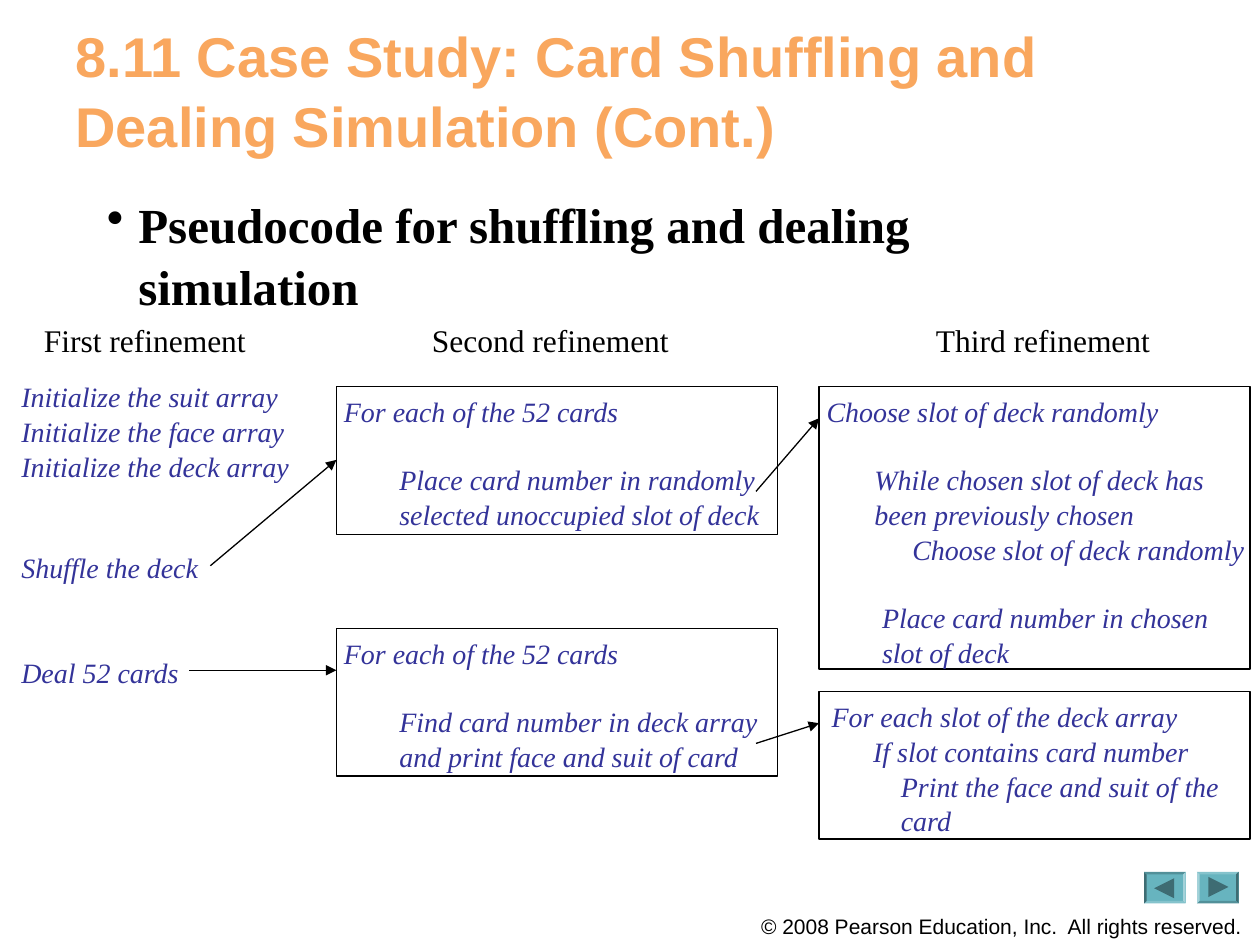
from typing import NamedTuple

from lxml.etree import SubElement
from pptx import Presentation
from pptx.dml.color import RGBColor
from pptx.enum.shapes import MSO_CONNECTOR, MSO_SHAPE
from pptx.enum.text import MSO_ANCHOR, PP_ALIGN
from pptx.oxml.ns import qn
from pptx.util import Inches, Pt

COLORS = {
    "title": "F9A75E", "text": "000000", "code": "333399", "face": "67B4BF",
    "top": "85C3CC", "right": "3E6C73", "bottom": "529099", "left": "A4D2D9",
}
SERIF, SANS = "Times New Roman", "Arial"
CODE_FORMAT = {"size": 16, "color": "code", "italic": True}


class Line(NamedTuple):
    text: str
    indent: float = 0
    before: float = 0


class CodeBox(NamedTuple):
    left: float
    top: float
    width: float
    height: float
    lines: list[Line]


class Arrow(NamedTuple):
    start: tuple[float, float]
    end: tuple[float, float]


CODE_BOXES = [
    CodeBox(2.67, 3.07, 3.5, 1.17, [
        Line("For each of the 52 cards", 0.06),
        Line("Place card number in randomly selected unoccupied slot of deck", 0.5, 19),
    ]),
    CodeBox(2.67, 4.99, 3.5, 1.17, [
        Line("For each of the 52 cards", 0.06),
        Line("Find card number in deck array and print face and suit of card", 0.5, 19),
    ]),
    CodeBox(6.5, 3.07, 3.42, 2.24, [
        Line("Choose slot of deck randomly", 0.06),
        Line("While chosen slot of deck has\vbeen previously chosen", 0.44, 19),
        Line("Choose slot of deck randomly", 0.74),
        Line("Place card number in chosen\vslot of deck", 0.5, 19),
    ]),
    CodeBox(6.5, 5.49, 3.42, 1.17, [
        Line("For each slot of the deck array", 0.1),
        Line("If slot contains card number", 0.43),
        Line("Print the face and suit of the card", 0.65),
    ]),
]
FIRST_STEPS = [
    Line("Initialize the suit array"),
    Line("Initialize the face array"),
    Line("Initialize the deck array"),
    Line("Shuffle the deck", before=38),
    Line("Deal 52 cards", before=40),
]
HEADINGS = {0.25: "First refinement", 3.33: "Second refinement", 7.33: "Third refinement"}
ARROWS = [
    Arrow((1.67, 4.49), (2.67, 3.65)),
    Arrow((1.5, 5.32), (2.67, 5.32)),
    Arrow((6, 3.9), (6.5, 3.32)),
    Arrow((6, 5.9), (6.5, 5.74)),
]


def color(name: str) -> RGBColor:
    """Return the named colour."""
    return RGBColor.from_string(COLORS[name])


def write_text(shape, lines: list[Line], *, size: float, color_name: str = "", color: str = "text",
               font: str = SERIF, bold: bool = False, italic: bool = False, bullet: str = "",
               align=PP_ALIGN.LEFT, anchor=MSO_ANCHOR.TOP, wrap: bool = True,
               insets: tuple[float, float] = (0.1, 0.05), spacing: float = 1.04) -> None:
    """Fill a shape with formatted lines."""
    frame = shape.text_frame
    frame.word_wrap = wrap
    frame.vertical_anchor = anchor
    frame.margin_left = frame.margin_right = Inches(insets[0])
    frame.margin_top = frame.margin_bottom = Inches(insets[1])
    for index, line in enumerate(lines):
        paragraph = frame.add_paragraph() if index else frame.paragraphs[0]
        paragraph.text = line.text
        paragraph.alignment = align
        paragraph.line_spacing = spacing
        paragraph.space_before = Pt(line.before)
        properties = paragraph._p.get_or_add_pPr()
        properties.set("marL", str(Inches(line.indent)))
        if bullet:
            properties.set("indent", str(-Inches(line.indent)))
            SubElement(properties, qn("a:buChar")).set("char", bullet)
        for run in paragraph.runs:
            run.font.name, run.font.size = font, Pt(size)
            run.font.bold, run.font.italic = bold, italic
            run.font.color.rgb = RGBColor.from_string(COLORS[color])


def add_text(slide, left: float, top: float, width: float, height: float,
             lines: list[Line], **text_format) -> None:
    """Add a text box."""
    box = slide.shapes.add_textbox(Inches(left), Inches(top), Inches(width), Inches(height))
    write_text(box, lines, **text_format)


def add_code_box(slide, box: CodeBox) -> None:
    """Add an outlined box of pseudocode."""
    shape = slide.shapes.add_shape(MSO_SHAPE.RECTANGLE, Inches(box.left), Inches(box.top),
                                   Inches(box.width), Inches(box.height))
    shape.shadow.inherit = False
    shape.fill.background()
    shape.line.color.rgb = color("text")
    shape.line.width = Pt(0.75)
    write_text(shape, box.lines, insets=(0, 0.05), **CODE_FORMAT)


def add_arrow(slide, arrow: Arrow) -> None:
    """Add a line with an arrowhead at its end."""
    connector = slide.shapes.add_connector(MSO_CONNECTOR.STRAIGHT,
                                           *map(Inches, arrow.start + arrow.end))
    connector.line.color.rgb = color("text")
    connector.line.width = Pt(0.75)
    SubElement(connector.line._get_or_add_ln(), qn("a:tailEnd")).set("type", "triangle")
    SubElement(connector._element.spPr, qn("a:effectLst"))


def add_navigation_button(slide, left: float, top: float, turned: bool) -> None:
    """Add a bevelled button with a triangle, turned half round if asked."""
    width, height, bevel = 0.33, 0.25, 0.02
    outer = [(0, 0), (width, 0), (width, height), (0, height)]
    inner = [(bevel, bevel), (width - bevel, bevel),
             (width - bevel, height - bevel), (bevel, height - bevel)]
    parts = [("face", outer)]
    for index, side in enumerate(("top", "right", "bottom", "left")):
        following = (index + 1) % 4
        parts.append((side, [outer[index], outer[following], inner[following], inner[index]]))
    parts.append(("right", [(0.09, 0.04), (0.25, 0.12), (0.09, 0.2)]))
    for name, points in parts:
        if turned:
            points = [(width - x, height - y) for x, y in points]
        corners = [(Inches(left + x), Inches(top + y)) for x, y in points]
        builder = slide.shapes.build_freeform(*corners[0])
        builder.add_line_segments(corners[1:], close=True)
        shape = builder.convert_to_shape()
        shape.shadow.inherit = False
        shape.fill.solid()
        shape.fill.fore_color.rgb = color(name)
        shape.line.fill.background()


def main() -> None:
    """Build and save the slide."""
    presentation = Presentation()
    presentation.slide_width, presentation.slide_height = Inches(10), Inches(7.5)
    slide = presentation.slides.add_slide(presentation.slide_layouts[6])
    add_navigation_button(slide, 9.5, 6.92, turned=False)
    add_navigation_button(slide, 9.08, 6.92, turned=True)
    add_text(slide, 5.93, 7.19, 4.04, 0.3,
             [Line("© 2008 Pearson Education, Inc.  All rights reserved.")],
             size=12, font=SANS, align=PP_ALIGN.CENTER, wrap=False)
    add_text(slide, 0.5, 0.08, 9, 1.25,
             [Line("8.11 Case Study: Card Shuffling and Dealing Simulation (Cont.)")],
             size=32, font=SANS, color="title", bold=True, anchor=MSO_ANCHOR.MIDDLE,
             insets=(0.1, 0.02))
    add_text(slide, 0.75, 1.47, 8.75, 4.95,
             [Line("Pseudocode for shuffling and dealing\vsimulation", 0.25)],
             size=28, bold=True, bullet="•", spacing=1.05)
    for box in CODE_BOXES:
        add_code_box(slide, box)
    for left, heading in HEADINGS.items():
        add_text(slide, left, 2.49, 2.08, 0.4, [Line(heading)], size=18)
    add_text(slide, 0.17, 2.9, 2.17, 3.5, FIRST_STEPS, insets=(0, 0.1), **CODE_FORMAT)
    for arrow in ARROWS:
        add_arrow(slide, arrow)
    presentation.save("out.pptx")


if __name__ == "__main__":
    main()
